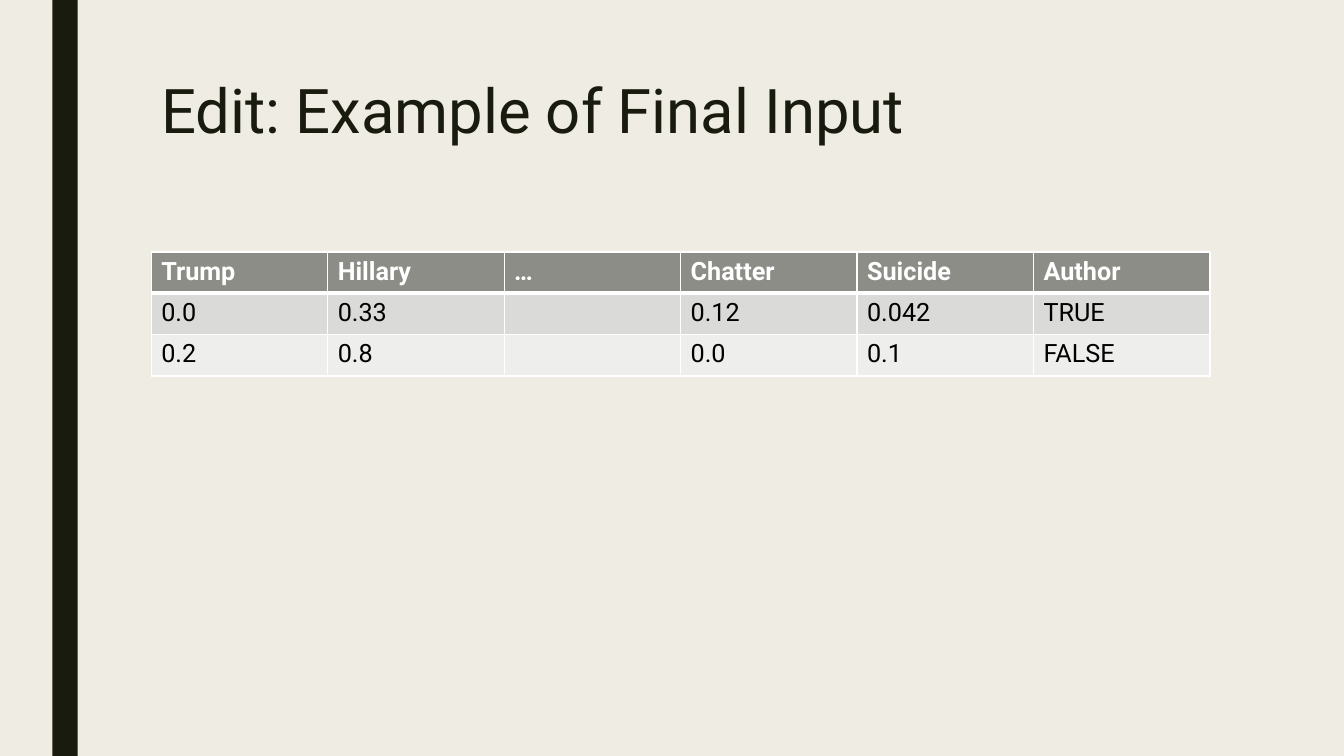
from dataclasses import dataclass

from lxml import etree
from pptx import Presentation
from pptx.dml.color import RGBColor
from pptx.enum.shapes import MSO_SHAPE
from pptx.enum.text import MSO_ANCHOR
from pptx.oxml.ns import qn
from pptx.util import Inches, Pt

RECTANGLE = MSO_SHAPE.RECTANGLE
TOP = MSO_ANCHOR.TOP


@dataclass(frozen=True)
class Theme:
    font: str = "Roboto"
    background: str = "EFEDE3"
    dark: str = "191B0E"
    white: str = "FFFFFF"
    black: str = "000000"
    header: str = "8C8D86"
    bands: tuple = ("DADBD9", "EEEEED")
    title_size: int = 44
    table_size: int = 18
    thin: int = 1
    thick: int = 3


THEME = Theme()
ROWS = (
    ("Trump", "Hillary", "…", "Chatter", "Suicide", "Author"),
    ("0.0", "0.33", "", "0.12", "0.042", "TRUE"),
    ("0.2", "0.8", "", "0.0", "0.1", "FALSE"),
)


def fill_solid(fill, color):
    fill.solid()
    fill.fore_color.rgb = RGBColor.from_string(color)


def add_run(paragraph, text, size, color, bold=False):
    run = paragraph.add_run()
    run.text = text
    run.font.name = THEME.font
    run.font.size = Pt(size)
    run.font.bold = bold
    run.font.color.rgb = RGBColor.from_string(color)


def add_side_bar(slide):
    bar = slide.shapes.add_shape(
        RECTANGLE, Inches(0.52), Inches(0), Inches(0.25), Inches(7.5)
    )
    bar.shadow.inherit = False
    fill_solid(bar.fill, THEME.dark)
    bar.line.fill.background()


def add_title(slide, text):
    box = slide.shapes.add_textbox(
        Inches(1.5), Inches(0.75), Inches(10.5), Inches(1.62)
    )
    frame = box.text_frame
    frame.word_wrap = True
    frame.vertical_anchor = TOP
    paragraph = frame.paragraphs[0]
    paragraph.line_spacing = 0.89
    add_run(paragraph, text, THEME.title_size, THEME.dark)


def add_border(cell, side, width):
    properties = cell._tc.get_or_add_tcPr()
    line = etree.SubElement(properties, qn(f"a:ln{side}"), w=str(Pt(width)))
    solid = etree.SubElement(line, qn("a:solidFill"))
    etree.SubElement(solid, qn("a:srgbClr"), val=THEME.white)


def style_cell(cell, text, row_index):
    is_header = row_index == 0
    top = THEME.thick if row_index == 1 else THEME.thin
    bottom = THEME.thick if is_header else THEME.thin
    for side, width in zip("LRTB", (THEME.thin, THEME.thin, top, bottom)):
        add_border(cell, side, width)
    band = THEME.bands[(row_index - 1) % len(THEME.bands)]
    fill_solid(cell.fill, THEME.header if is_header else band)
    if text:
        color = THEME.white if is_header else THEME.black
        paragraph = cell.text_frame.paragraphs[0]
        add_run(paragraph, text, THEME.table_size, color, is_header)


def add_input_table(slide, rows):
    row_height = Inches(0.41)
    table = slide.shapes.add_table(
        len(rows), len(rows[0]),
        Inches(1.5), Inches(2.5), Inches(10.5), row_height * len(rows),
    ).table
    table.horz_banding = False
    for row_index, values in enumerate(rows):
        table.rows[row_index].height = row_height
        for column_index, text in enumerate(values):
            style_cell(table.cell(row_index, column_index), text, row_index)


def main():
    presentation = Presentation()
    presentation.slide_width = Inches(13.33)
    presentation.slide_height = Inches(7.5)
    slide = presentation.slides.add_slide(presentation.slide_layouts[6])
    fill_solid(slide.background.fill, THEME.background)
    add_side_bar(slide)
    add_title(slide, "Edit: Example of Final Input")
    add_input_table(slide, ROWS)
    presentation.save("out.pptx")


if __name__ == "__main__":
    main()
